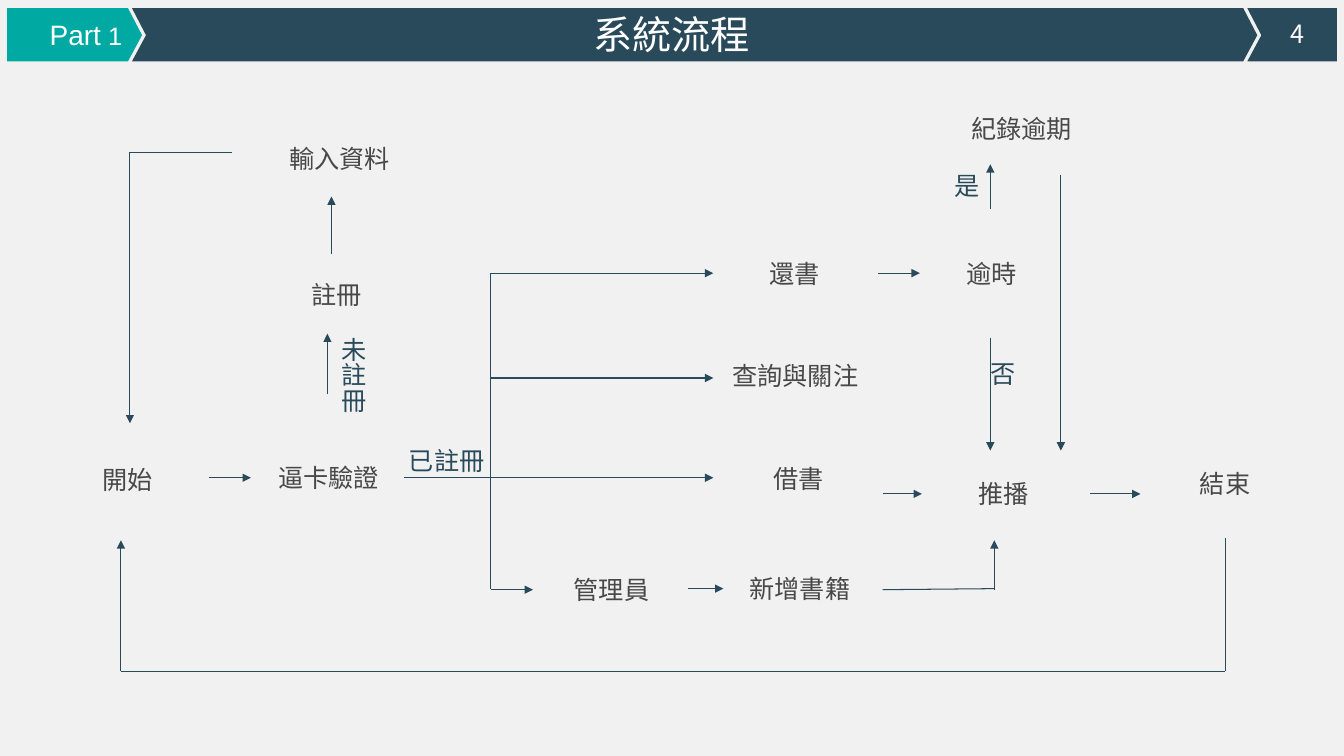
from dataclasses import dataclass

from lxml import etree
from pptx import Presentation
from pptx.dml.color import RGBColor
from pptx.enum import shapes, text
from pptx.oxml.ns import qn
from pptx.util import Inches, Pt


@dataclass(frozen=True)
class Theme:
    background: str = "F1F1F1"
    teal: str = "00AAA2"
    navy: str = "294A5A"
    white: str = "FFFFFF"
    grey: str = "484849"
    latin: str = "Arial"
    chinese: str = "Noto Sans CJK SC"
    title_size: int = 28
    section_size: int = 20
    body_size: int = 18
    line_width: float = 0.75


THEME = Theme()
CENTER = text.PP_ALIGN.CENTER
LEFT = text.PP_ALIGN.LEFT
RIGHT = text.PP_ALIGN.RIGHT


@dataclass(frozen=True)
class Span:
    words: str
    size: int = THEME.body_size
    color: str = THEME.grey
    font: str = THEME.latin


@dataclass(frozen=True)
class Label:
    spans: tuple[Span, ...]
    left: float
    top: float
    width: float = 1.3
    height: float = 0.4
    align: text.PP_ALIGN = CENTER
    wrap: bool = True
    vertical: bool = False


@dataclass(frozen=True)
class Line:
    start: tuple[float, float]
    end: tuple[float, float]
    arrow: bool = True


@dataclass(frozen=True)
class Band:
    points: tuple[tuple[float, float], ...]
    color: str


def step(words: str, left: float, top: float, width: float = 1.3) -> Label:
    return Label((Span(words),), left, top, width)


def condition(words: str, left: float, top: float, width: float,
              height: float = 0.4, vertical: bool = False) -> Label:
    return Label((Span(words, color=THEME.navy),), left, top, width, height,
                 LEFT, wrap=False, vertical=vertical)


TOP, MIDDLE, BOTTOM = 0.08, 0.35, 0.61
BANDS = [
    Band(((0.07, TOP), (1.27, TOP), (1.41, MIDDLE), (1.27, BOTTOM),
          (0.07, BOTTOM)), THEME.teal),
    Band(((1.31, TOP), (12.34, TOP), (12.48, MIDDLE), (12.34, BOTTOM),
          (1.31, BOTTOM), (1.45, MIDDLE)), THEME.navy),
    Band(((12.38, TOP), (13.27, TOP), (13.27, BOTTOM), (12.38, BOTTOM),
          (12.52, MIDDLE)), THEME.navy),
]

TITLE = Label((Span("系統流程", THEME.title_size, THEME.white, THEME.chinese),),
              0.05, 0.05, 13.23, 0.57)

LABELS = [
    Label((Span("4", color=THEME.white, font=THEME.chinese),),
          12.61, 0.13, 0.54, wrap=False),
    Label((Span("Part", THEME.section_size, THEME.white),
           Span(" 1", color=THEME.white)), 0.15, 0.12, 1.16, 0.44, RIGHT),
    step("開始", 0.62, 4.56),
    step("逼卡驗證", 2.61, 4.54),
    step("註冊", 2.69, 2.72),
    step("輸入資料", 2.72, 1.37),
    step("還書", 7.24, 2.51),
    step("查詢與關注", 7.16, 3.53, 1.47),
    step("借書", 7.28, 4.55),
    step("管理員", 5.42, 5.65),
    step("新增書籍", 7.29, 5.64),
    step("逾時", 9.19, 2.51),
    step("紀錄逾期", 9.49, 1.08),
    step("推播", 9.31, 4.7),
    step("結束", 11.51, 4.6),
    condition("未註冊", 3.21, 3.25, 0.5, 0.86, vertical=True),
    condition("已註冊", 3.96, 4.37, 0.96),
    condition("是", 9.38, 1.64, 0.45),
    condition("否", 9.73, 3.51, 0.45),
]

BRANCH = 4.87
MENU_ROWS = (2.71, 3.75, 4.74)
LINES = [
    # Registration and return to the start
    Line((2.07, 4.74), (2.49, 4.74)),
    Line((3.25, 3.91), (3.25, 3.31)),
    Line((3.29, 2.52), (3.29, 1.95)),
    Line((1.29, 1.51), (2.3, 1.51), arrow=False),
    Line((1.29, 1.51), (1.29, 4.2)),
    # Branches for registered users
    Line((4.01, 4.74), (BRANCH, 4.74), arrow=False),
    Line((BRANCH, 2.71), (BRANCH, 5.84), arrow=False),
    *(Line((BRANCH, row), (7.08, row)) for row in MENU_ROWS),
    Line((BRANCH, 5.85), (5.29, 5.85)),
    Line((6.83, 5.84), (7.18, 5.84)),
    # Overdue check
    Line((8.72, 2.71), (9.13, 2.71)),
    Line((9.83, 2.07), (9.83, 1.63)),
    Line((9.83, 3.35), (9.83, 4.47)),
    Line((10.53, 1.74), (10.53, 4.47)),
    # Push message and end
    Line((8.76, 4.9), (9.15, 4.9)),
    Line((8.76, 5.85), (9.87, 5.84), arrow=False),
    Line((9.87, 5.85), (9.87, 5.36)),
    Line((10.82, 4.9), (11.32, 4.9)),
    Line((12.16, 5.34), (12.16, 6.66), arrow=False),
    Line((1.2, 6.66), (12.16, 6.66), arrow=False),
    Line((1.2, 6.66), (1.2, 5.36)),
]


def draw_band(page, band: Band) -> None:
    corners = [(Inches(x), Inches(y)) for x, y in band.points]
    builder = page.shapes.build_freeform(*corners[0])
    builder.add_line_segments(corners[1:], close=True)
    shape = builder.convert_to_shape()
    shape.shadow.inherit = False
    shape.fill.solid()
    shape.fill.fore_color.rgb = RGBColor.from_string(band.color)
    shape.line.fill.background()


def write_label(box, label: Label) -> None:
    """Place a text box or placeholder and write the label's spans in it."""
    box.left, box.top = Inches(label.left), Inches(label.top)
    box.width, box.height = Inches(label.width), Inches(label.height)
    frame = box.text_frame
    frame.word_wrap = label.wrap
    frame.auto_size = text.MSO_AUTO_SIZE.SHAPE_TO_FIT_TEXT
    frame.vertical_anchor = text.MSO_ANCHOR.TOP
    if label.vertical:
        frame._txBody.bodyPr.set("vert", "eaVert")
    para = frame.paragraphs[0]
    para.alignment = label.align
    for span in label.spans:
        run = para.add_run()
        run.text = span.words
        run.font.name = span.font
        run.font.size = Pt(span.size)
        run.font.color.rgb = RGBColor.from_string(span.color)


def draw_line(page, line: Line) -> None:
    ends = [Inches(value) for value in (*line.start, *line.end)]
    connector = page.shapes.add_connector(shapes.MSO_CONNECTOR.STRAIGHT, *ends)
    connector.line.color.rgb = RGBColor.from_string(THEME.navy)
    connector.line.width = Pt(THEME.line_width)
    properties = connector._element.spPr
    if line.arrow:
        outline = properties.find(qn("a:ln"))
        etree.SubElement(outline, qn("a:tailEnd"), type="triangle")
    etree.SubElement(properties, qn("a:effectLst"))


def main() -> None:
    deck = Presentation()
    deck.slide_width, deck.slide_height = Inches(13.34), Inches(7.5)
    page = deck.slides.add_slide(deck.slide_layouts.get_by_name("Title Only"))
    page.background.fill.solid()
    page.background.fill.fore_color.rgb = RGBColor.from_string(THEME.background)
    for band in BANDS:
        draw_band(page, band)
    title = page.shapes.title
    page.shapes._spTree.append(title._element)  # bring in front of the bands
    write_label(title, TITLE)
    for label in LABELS:
        write_label(page.shapes.add_textbox(0, 0, 0, 0), label)
    for line in LINES:
        draw_line(page, line)
    deck.save("out.pptx")


if __name__ == "__main__":
    main()
